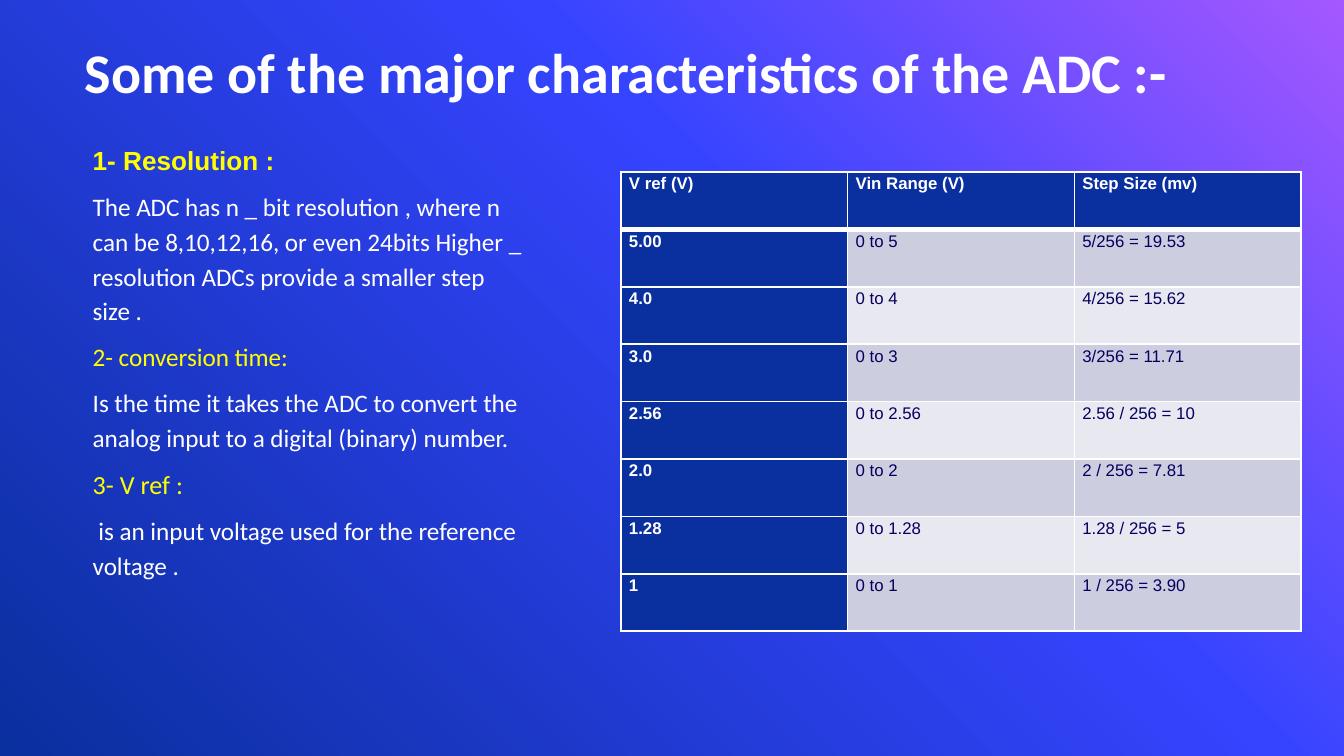
from copy import deepcopy

from lxml import etree
from pptx import Presentation
from pptx.dml.color import RGBColor
from pptx.enum.text import MSO_ANCHOR
from pptx.oxml.ns import qn
from pptx.util import Inches, Pt

TOP, BOTTOM = MSO_ANCHOR.TOP, MSO_ANCHOR.BOTTOM
WIDTH = 10
HEIGHT = WIDTH * 9 / 16
WHITE, YELLOW, NAVY, INK = "FFFFFF", "FFFF00", "0A2F9E", "050060"
BANDS = ["CCCDDF", "E7E8F0"]
BACKDROP = [(0, "A458FF"), (0.39, "3544FF"), (1, NAVY)]
NO_MARGINS = dict.fromkeys(
    ["margin_left", "margin_top", "margin_right", "margin_bottom"], 0)
CELL_MARGINS = {"margin_left": Inches(0.06), "margin_top": Inches(0.01),
                "margin_right": Inches(0.06), "margin_bottom": 0}

TITLE = "Some of the major characteristics of the ADC :-"
POINTS = [
    ("1- Resolution :", 14, "Arial", YELLOW, True),
    ("The ADC has n _ bit resolution , where n can be 8,10,12,16, or even "
     "24bits Higher _ resolution ADCs provide a smaller step size .",
     13.5, "Calibri", WHITE, False),
    ("2- conversion time:", 13.5, "Calibri", YELLOW, False),
    ("Is the time it takes the ADC to convert the analog input to a digital "
     "(binary) number.", 13.5, "Calibri", WHITE, False),
    ("3- V ref :", 14, "Calibri", YELLOW, False),
    (" is an input voltage used for the reference voltage .",
     13.5, "Calibri", WHITE, False),
]
STEP_SIZES = [
    ("V ref (V)", "Vin Range (V)", "Step Size (mv)"),
    ("5.00", "0 to 5", "5/256 = 19.53"),
    ("4.0", "0 to 4", "4/256 = 15.62"),
    ("3.0", "0 to 3", "3/256 = 11.71"),
    ("2.56", "0 to 2.56", "2.56 / 256 = 10"),
    ("2.0", "0 to 2", "2 / 256 = 7.81"),
    ("1.28", "0 to 1.28", "1.28 / 256 = 5"),
    ("1", "0 to 1", "1 / 256 = 3.90"),
]


def color(value):
    return RGBColor.from_string(value)


def apply(target, formats):
    for name, value in formats.items():
        setattr(target, name, value)


def write(paragraph, words, size, font, ink, bold, **spacing):
    run = paragraph.add_run()
    run.text = words
    apply(run.font, {"size": Pt(size), "name": font, "bold": bold})
    run.font.color.rgb = color(ink)
    apply(paragraph, spacing)


def paint_backdrop(slide):
    fill = slide.background.fill
    fill.gradient()
    fill.gradient_angle = 225
    stops = slide.element.find(".//" + qn("a:gsLst"))
    stops.append(deepcopy(stops[-1]))
    for stop, (position, tint) in zip(fill.gradient_stops, BACKDROP):
        stop.position = position
        stop.color.rgb = color(tint)


def add_text_frame(slide, box, anchor):
    frame = slide.shapes.add_textbox(*map(Inches, box)).text_frame
    apply(frame, {"word_wrap": True, "vertical_anchor": anchor, **NO_MARGINS})
    return frame


def add_heading(slide, box):
    frame = add_text_frame(slide, box, BOTTOM)
    write(frame.paragraphs[0], TITLE, 30, "Calibri", WHITE, True)


def add_points(slide, box):
    frame = add_text_frame(slide, box, TOP)
    for index, point in enumerate(POINTS):
        paragraph = frame.add_paragraph() if index else frame.paragraphs[0]
        write(paragraph, *point, line_spacing=1.15, space_before=Pt(6))


def add_border(cell, side, width):
    line = etree.SubElement(cell._tc.get_or_add_tcPr(), qn("a:ln" + side),
                            w=str(Pt(width)))
    fill = etree.SubElement(line, qn("a:solidFill"))
    etree.SubElement(fill, qn("a:srgbClr"), val=WHITE)


def add_step_table(slide, box):
    rows, columns = len(STEP_SIZES), len(STEP_SIZES[0])
    table = slide.shapes.add_table(rows, columns, *map(Inches, box)).table
    for row, values in enumerate(STEP_SIZES):
        for column, value in enumerate(values):
            cell = table.cell(row, column)
            apply(cell, CELL_MARGINS)
            heavy = {0: "B", 1: "T"}.get(row)
            for side in "LRTB":
                add_border(cell, side, 3 if side == heavy else 1)
            label = row == 0 or column == 0
            cell.fill.solid()
            cell.fill.fore_color.rgb = color(
                NAVY if label else BANDS[(row - 1) % 2])
            write(cell.text_frame.paragraphs[0], value, 9, "Arial",
                  WHITE if label else INK, label, line_spacing=1.07)


def main():
    deck = Presentation()
    deck.slide_width, deck.slide_height = Inches(WIDTH), Inches(HEIGHT)
    slide = deck.slides.add_slide(deck.slide_layouts[6])
    paint_backdrop(slide)
    add_heading(slide, (0.63, 0.12, 8.27, 0.66))
    add_step_table(slide, (4.62, 1.28, 5.06, 3.42))
    add_points(slide, (0.69, 1.04, 3.23, 3.9))
    deck.save("out.pptx")


if __name__ == "__main__":
    main()
